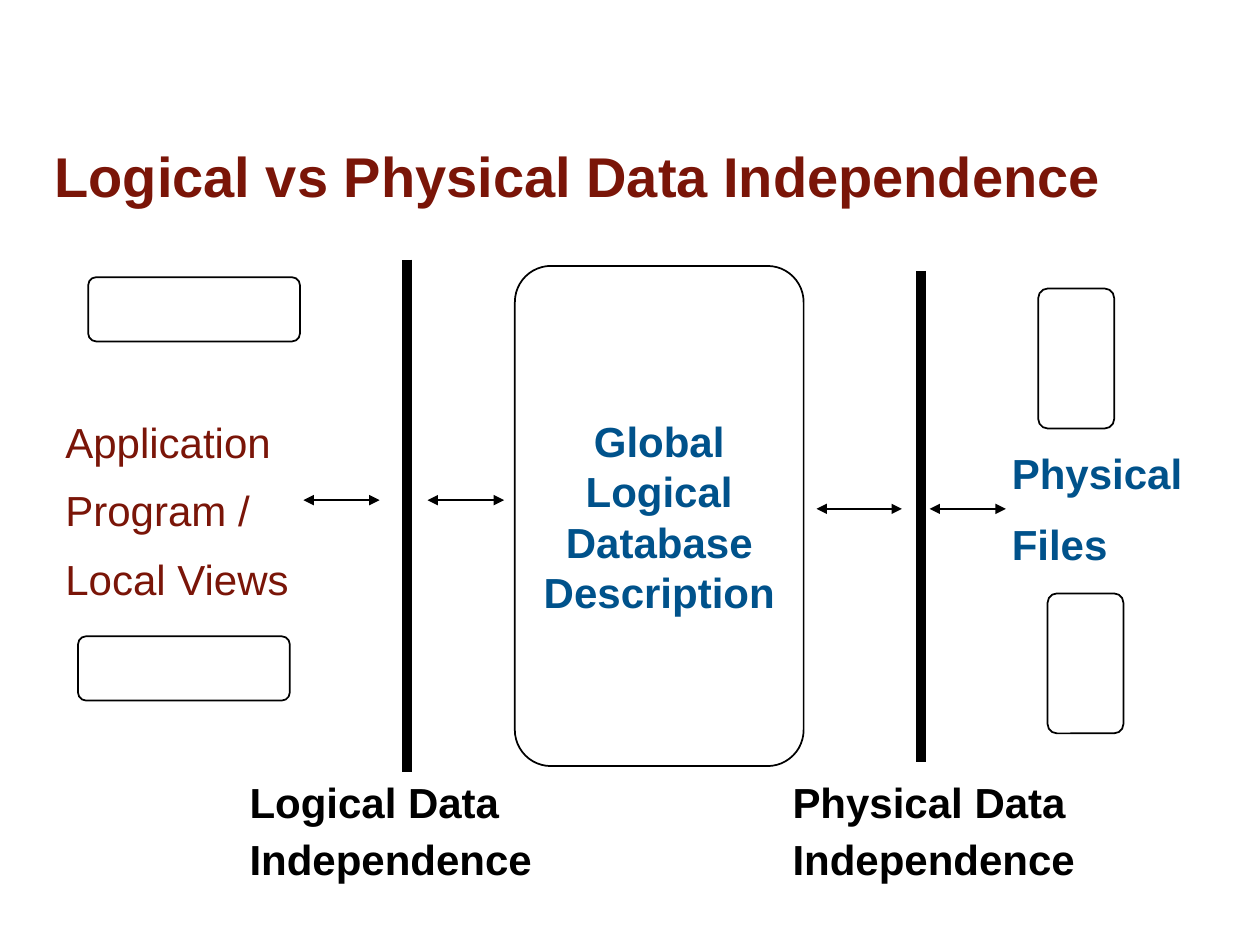
from collections import namedtuple

from lxml.etree import SubElement
from pptx import Presentation
from pptx.dml.color import RGBColor
from pptx.enum.shapes import MSO_CONNECTOR as Connector, MSO_SHAPE as Shape
from pptx.enum.text import MSO_ANCHOR as Anchor, MSO_AUTO_SIZE as AutoSize, PP_ALIGN as Align
from pptx.oxml.ns import qn
from pptx.util import Pt

COLORS = {"title": "7A1508", "blue": "00528B", "ink": "000000"}
Box = namedtuple("Box", "left top width height")


def color(name):
    return RGBColor.from_string(COLORS[name])


def inside(region, left, top, width, height):
    return Box(region.left + left, region.top + top, width, height)


def style(para, color_name, size=24, bold=True):
    para.font.name = "Arial"
    para.font.size = Pt(size)
    para.font.bold = bold
    para.font.color.rgb = color(color_name)


def add_card(page, box):
    card = page.shapes.add_shape(Shape.ROUNDED_RECTANGLE, *map(Pt, box))
    card.adjustments[0] = 0.125
    card.shadow.inherit = False
    card.fill.background()
    card.line.color.rgb = color("ink")
    card.line.width = Pt(1)
    return card


def add_label(page, box, lines, color_name, spacing, after, bold=True):
    frame = page.shapes.add_textbox(*map(Pt, box)).text_frame
    frame.word_wrap = True
    frame.auto_size = AutoSize.NONE
    frame.margin_left = frame.margin_right = Pt(3.6)
    frame.margin_top = frame.margin_bottom = Pt(1.6)
    frame.text = "\n".join(lines)
    for para in frame.paragraphs:
        para.line_spacing = spacing
        para.space_after = Pt(after)
        style(para, color_name, bold=bold)


def add_line(page, start, end, width=1, arrows=False):
    line = page.shapes.add_connector(Connector.STRAIGHT, *map(Pt, start + end))
    line.line.color.rgb = color("ink")
    line.line.width = Pt(width)
    if arrows:
        for tag in ("a:headEnd", "a:tailEnd"):
            SubElement(line.line._get_or_add_ln(), qn(tag), type="triangle")
    SubElement(line._element.spPr, qn("a:effectLst"))


def add_title(page, box):
    title = page.shapes.title
    title.left, title.top, title.width, title.height = map(Pt, box)
    frame = title.text_frame
    frame.text = "Logical vs Physical Data Independence"
    frame.word_wrap = True
    frame.vertical_anchor = Anchor.MIDDLE
    para = frame.paragraphs[0]
    para.alignment = Align.LEFT
    style(para, "title", size=32)


def add_applications(page, region):
    for left, top in ((16.6, 0), (10.8, 205.2)):
        add_card(page, inside(region, left, top, 121, 36.7))
    add_label(page, inside(region, 0, 81.4, region.width, 106.6),
              ["Application", "Program /", "Local Views"], "title", 0.89, 13.5, bold=False)


def add_global_description(page, region):
    frame = add_card(page, region).text_frame
    frame.word_wrap = False
    frame.vertical_anchor = Anchor.MIDDLE
    frame.text = "Global\nLogical\nDatabase\nDescription"
    for para in frame.paragraphs:
        para.alignment = Align.CENTER
        style(para, "blue")


def add_files(page, region):
    for left, top in ((18.7, 0), (24, 174.2)):
        add_card(page, inside(region, left, top, 43.4, 80))
    add_label(page, inside(region, 0, 92.2, region.width, 69.8),
              ["Physical", "Files"], "blue", 0.92, 13.8)


def add_barrier(page, region, kind, bar, bar_height, arrow_top, arrows):
    x, y = region.left + bar, region.top + arrow_top
    add_line(page, (x, region.top), (x, region.top + bar_height), width=6)
    for start, end in arrows:
        add_line(page, (x + start, y), (x + end, y), arrows=True)
    label_height = 62
    add_label(page, inside(region, 0, region.height - label_height, region.width, label_height),
              [f"{kind} Data", "Independence"], "ink", 0.92, 6)


def main():
    deck = Presentation()
    deck.slide_width, deck.slide_height = Pt(720), Pt(540)
    page = deck.slides.add_slide(deck.slide_layouts[5])
    add_title(page, Box(24, 60, 660, 80.6))
    add_applications(page, Box(33.8, 158.4, 221, 242))
    add_global_description(page, Box(294.2, 152, 165, 285.8))
    add_files(page, Box(574.6, 164.9, 115.2, 254.2))
    add_barrier(page, Box(139, 148.4, 237.6, 358.6), "Logical", 93.7, 293, 137.4,
                ((-59.3, -15.8), (11.6, 55.4)))
    add_barrier(page, Box(449.3, 154.8, 188, 352.2), "Physical", 76.9, 280.6, 136,
                ((-59.6, -10.8), (5, 48.6)))
    deck.save("out.pptx")


if __name__ == "__main__":
    main()
